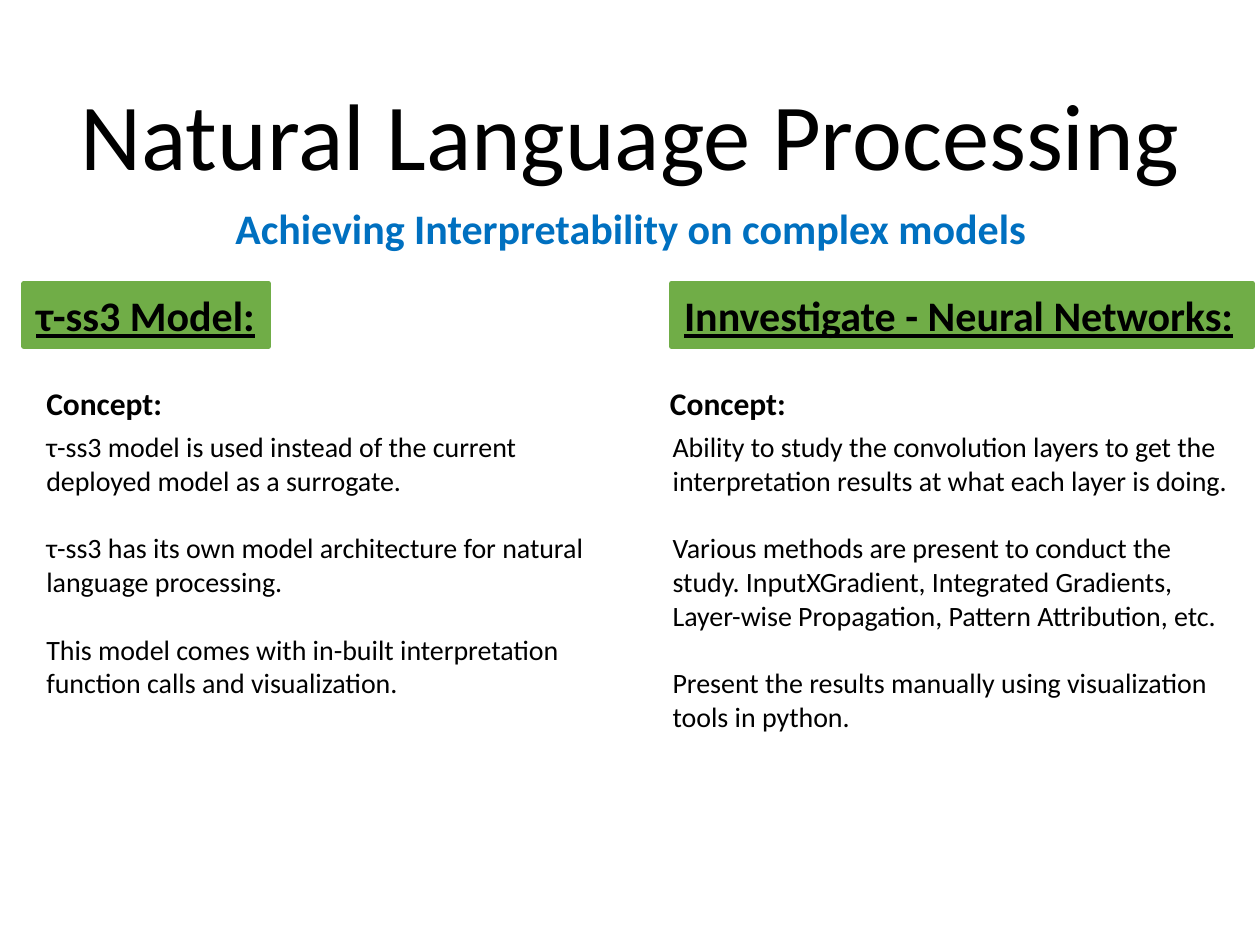
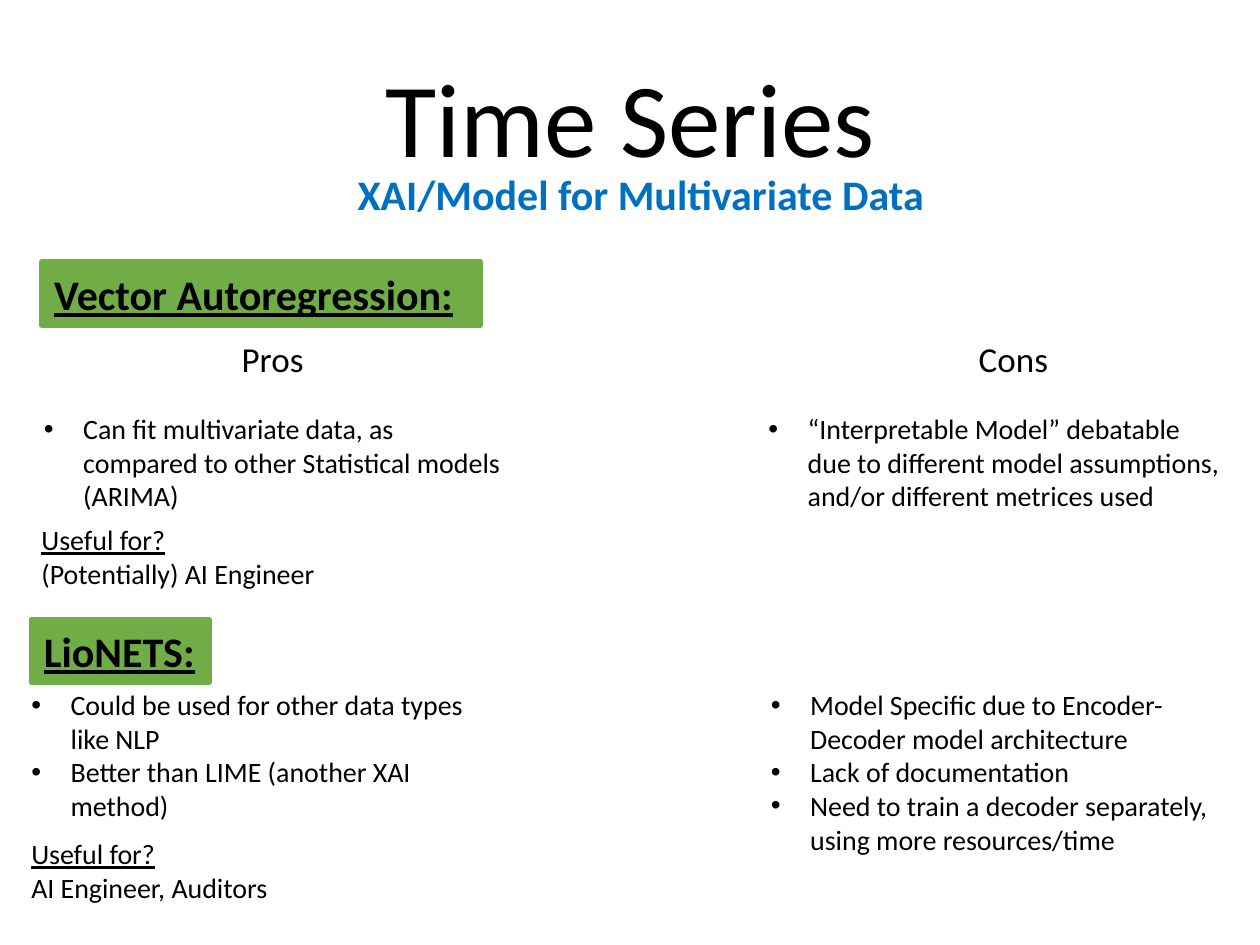
from dataclasses import dataclass

from lxml import etree
from pptx import Presentation
from pptx.dml import color
from pptx.enum import shapes, text
from pptx.oxml import ns
from pptx.util import Pt

FONT = "Calibri"
BLACK, BLUE, GREEN = "000000", "0070C0", "70AD47"
HEADING_SIZE, BODY_SIZE = 24, 16
BLANK_LINE = 19.5
BULLET_INDENT = 22.5
TAG_HEIGHT = 36
LIST_WIDTH = 275.8


@dataclass(frozen=True)
class Area:
    left: float
    top: float
    width: float
    height: float

    def lengths(self) -> tuple:
        return Pt(self.left), Pt(self.top), Pt(self.width), Pt(self.height)


@dataclass(frozen=True)
class Column:
    """A method with its concept, on the language slide."""
    tag: str
    tag_left: float
    tag_width: float
    label_left: float
    body: Area
    lines: tuple


@dataclass(frozen=True)
class Method:
    """A method with its pros, cons and users, on the time series slide."""
    tag: str
    tag_area: Area
    pros_area: Area
    pros: tuple
    cons_area: Area
    cons: tuple
    users_area: Area
    users: str


COLUMNS = (
    Column("τ-ss3 Model:", 13.7, 139.7, 19.4, Area(19.4, 242, 329, 181.4), (
        "τ-ss3 model is used instead of the current deployed model as a surrogate.",
        "τ-ss3 has its own model architecture for natural language processing.",
        "This model comes with in-built interpretation function calls and visualization.",
    )),
    Column("Innvestigate - Neural Networks:", 383.8, 331.9, 375.8,
           Area(377.3, 242, 338.4, 200.9), (
        "Ability to study the convolution layers to get the interpretation results "
        "at what each layer is doing.",
        "Various methods are present to conduct the study. InputXGradient, Integrated "
        "Gradients, Layer-wise Propagation, Pattern Attribution, etc.",
        "Present the results manually using visualization tools in python.",
    )),
)

METHODS = (
    Method(
        "Vector Autoregression:", Area(23.8, 149.8, 250.6, TAG_HEIGHT),
        Area(18, 231.8, LIST_WIDTH, 65.5),
        ("Can fit multivariate data, as compared to other Statistical models (ARIMA)",),
        Area(432, 231.8, LIST_WIDTH, 65.5),
        ("“Interpretable Model” debatable due to different model assumptions, "
         "and/or different metrices used",),
        Area(16.6, 295.2, LIST_WIDTH, 46), "(Potentially) AI Engineer",
    ),
    Method(
        "LioNETS:", Area(18, 354.2, 101.5, TAG_HEIGHT),
        Area(10.8, 389.5, LIST_WIDTH, 85),
        ("Could be used for other data types like NLP",
         "Better than LIME (another XAI method)"),
        Area(433.4, 389.5, LIST_WIDTH, 104.4),
        ("Model Specific due to Encoder-Decoder model architecture",
         "Lack of documentation",
         "Need to train a decoder separately, using more resources/time"),
        Area(10.8, 474.5, LIST_WIDTH, 46), "AI Engineer, Auditors",
    ),
)


def rgb(value: str) -> color.RGBColor:
    return color.RGBColor.from_string(value)


def write(frame, content: str, *, size: float = BODY_SIZE, ink: str = BLACK,
          bold: bool = False, underline: bool = False, align=text.PP_ALIGN.LEFT,
          line_spacing: float = 1.0, before: float = 0, bullet: bool = False) -> None:
    """Add one paragraph, using the first one while the frame is empty."""
    para = frame.add_paragraph() if frame.text else frame.paragraphs[0]
    para.alignment = align
    para.line_spacing = line_spacing
    para.space_before = Pt(before)
    if bullet:
        add_bullet(para)
    span = para.add_run()
    span.text = content
    span.font.name = FONT
    span.font.size = Pt(size)
    span.font.bold = bold
    span.font.underline = underline
    span.font.color.rgb = rgb(ink)


def add_bullet(para) -> None:
    properties = para._p.get_or_add_pPr()
    properties.set("marL", str(Pt(BULLET_INDENT)))
    properties.set("indent", str(-Pt(BULLET_INDENT)))
    etree.SubElement(properties, ns.qn("a:buFont"), typeface="Arial")
    etree.SubElement(properties, ns.qn("a:buChar"), char="•")


def fill_placeholder(box, area: Area, content: str, anchor, **style):
    box.left, box.top, box.width, box.height = area.lengths()
    frame = box.text_frame
    frame.word_wrap = True
    frame.auto_size = text.MSO_AUTO_SIZE.NONE
    frame.vertical_anchor = anchor
    write(frame, content, align=text.PP_ALIGN.CENTER, line_spacing=0.9, **style)


def add_page(deck, title: str, title_area: Area, title_size: float,
             subtitle: str, subtitle_area: Area):
    page = deck.slides.add_slide(deck.slide_layouts[0])
    fill_placeholder(page.shapes.title, title_area, title,
                     text.MSO_ANCHOR.BOTTOM, size=title_size)
    fill_placeholder(page.placeholders[1], subtitle_area, subtitle,
                     text.MSO_ANCHOR.TOP, size=HEADING_SIZE, ink=BLUE, bold=True)
    return page


def add_frame(page, area: Area, wrap: bool = True):
    frame = page.shapes.add_textbox(*area.lengths()).text_frame
    frame.word_wrap = wrap
    frame.auto_size = text.MSO_AUTO_SIZE.SHAPE_TO_FIT_TEXT
    return frame


def add_tag(page, area: Area, content: str) -> None:
    """Draw a green box with an underlined method name."""
    box = page.shapes.add_shape(shapes.MSO_SHAPE.RECTANGLE, *area.lengths())
    box.shadow.inherit = False
    box.fill.solid()
    box.fill.fore_color.rgb = rgb(GREEN)
    box.line.color.rgb = rgb(GREEN)
    box.line.width = Pt(3)
    frame = box.text_frame
    frame.word_wrap = False
    frame.auto_size = text.MSO_AUTO_SIZE.SHAPE_TO_FIT_TEXT
    frame.vertical_anchor = text.MSO_ANCHOR.TOP
    write(frame, content, size=HEADING_SIZE, bold=True, underline=True)


def add_list(page, area: Area, lines: tuple) -> None:
    frame = add_frame(page, area)
    for line in lines:
        write(frame, line, bullet=True)


def build_language_page(deck) -> None:
    page = add_page(deck, "Natural Language Processing", Area(24, 42.5, 672, 70.5), 54,
                    "Achieving Interpretability on complex models",
                    Area(24.5, 115.2, 672, 43.2))
    for column in COLUMNS:
        add_tag(page, Area(column.tag_left, 162, column.tag_width, TAG_HEIGHT), column.tag)
        label = add_frame(page, Area(column.label_left, 216, 216, 29))
        write(label, "Concept:", size=18, bold=True)
        body = add_frame(page, column.body)
        for index, line in enumerate(column.lines):
            write(body, line, before=BLANK_LINE if index else 0)


def build_time_series_page(deck) -> None:
    page = add_page(deck, "Time Series", Area(24, 5.8, 672, 100.8), 60,
                    "XAI/Model for Multivariate Data", Area(30.2, 95.8, 672, 90))
    for label, left, width in (("Pros", 131, 50.4), ("Cons", 552.2, 54.7)):
        write(add_frame(page, Area(left, 189.4, width, 31.7), wrap=False), label, size=20)
    for method in METHODS:
        add_tag(page, method.tag_area, method.tag)
        add_list(page, method.pros_area, method.pros)
        add_list(page, method.cons_area, method.cons)
        users = add_frame(page, method.users_area)
        write(users, "Useful for?", underline=True)
        write(users, method.users)


def main() -> None:
    deck = Presentation()
    deck.slide_width, deck.slide_height = Pt(720), Pt(540)
    build_language_page(deck)
    build_time_series_page(deck)
    deck.save("out.pptx")


if __name__ == "__main__":
    main()
